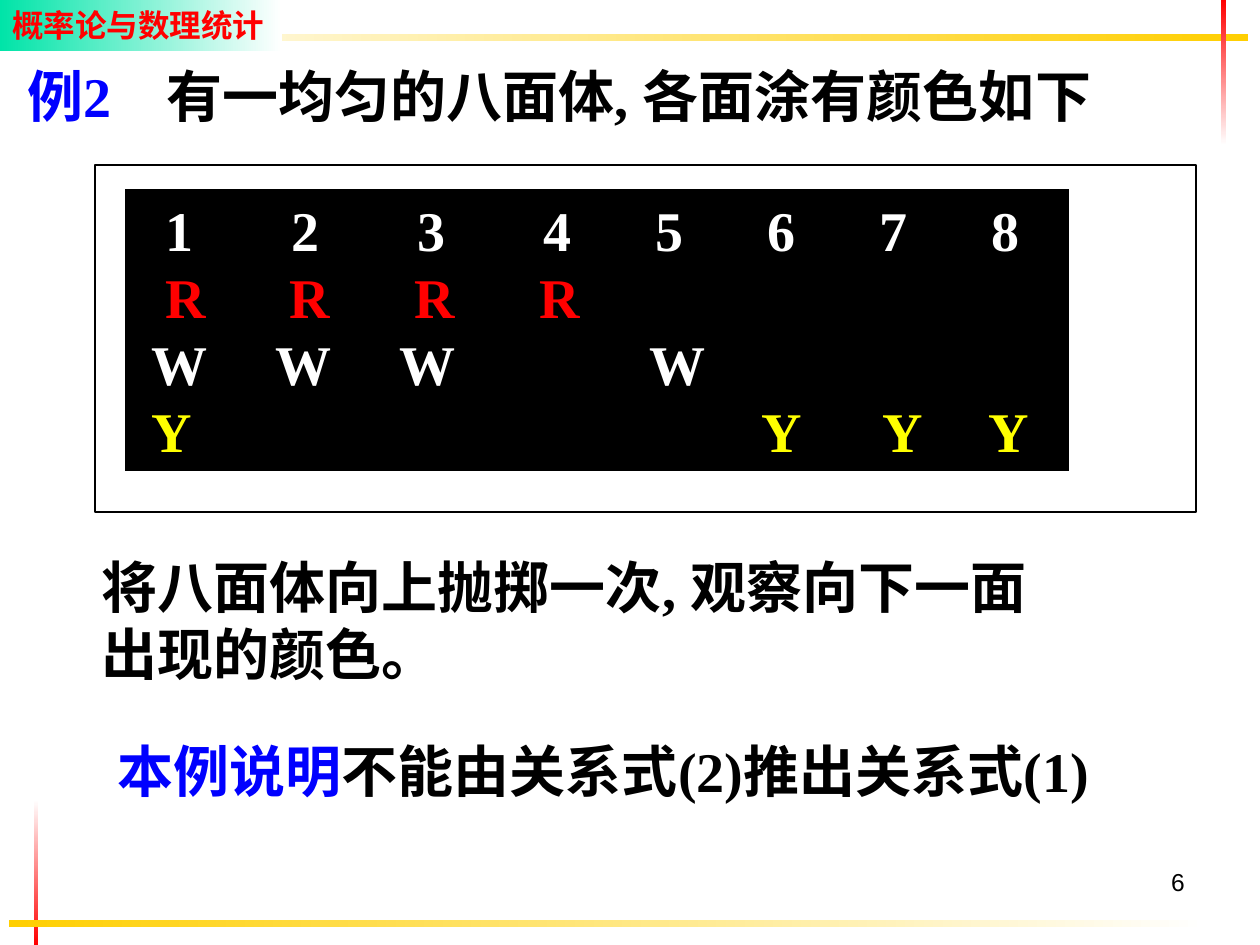
import pptx
import pptx.util
import pptx.dml.color
import pptx.enum.shapes
import pptx.enum.text
import pptx.oxml
import pptx.oxml.ns

SCALE = 914400 // 126
WIDTH, HEIGHT = 1260, 945
COLORS = {"red": "FF0000", "gold": "FFCF01", "white": "FFFFFF", "green": "00E4A8",
          "blue": "0000FF", "black": "000000", "yellow": "FFFF00"}
ALIGN = pptx.enum.text.PP_ALIGN

ACROSS, DOWN = 0, 270
GRADIENT_BARS = [
    ((34, 800, 4, 145), "white", "red", DOWN),
    ((9, 920, 1198, 7), "gold", "white", ACROSS),
    ((50, 34, 1198, 7), "white", "gold", ACROSS),
    ((1221, 0, 5, 145), "red", "white", DOWN),
    ((0, 0, 282, 51), "green", "white", ACROSS),
]
HEADER = [[("概率论与数理统计", "red")]]
TITLE = [[("例2", "blue"), ("\t有一均匀的八面体, 各面涂有颜色如下", "black")]]
TITLE_TABS = [[139]]
EXPERIMENT = [[("将八面体向上抛掷一次, 观察向下一面", "black")], [("出现的颜色。", "black")]]
CONCLUSION = [[("本例说明", "blue"), ("不能由关系式(2)推出关系式(1)", "black")]]
FACE_ROWS = [
    ("white", {"1": [28], "2": [154], "3": [280], "4": [406],
               "5": [518], "6": [630], "7": [742], "8": [854]}),
    ("red", {"R": [28, 152, 277, 402]}),
    ("white", {"W": [14, 138, 262, 512]}),
    ("yellow", {"Y": [14, 624, 745, 851]}),
]


def color(name):
    return pptx.dml.color.RGBColor.from_string(COLORS[name])


def px(*values):
    return [pptx.util.Emu(value * SCALE) for value in values]


def add_rectangle(shapes, box):
    shape = shapes.add_shape(pptx.enum.shapes.MSO_SHAPE.RECTANGLE, *px(*box))
    shape.shadow.inherit = False
    shape.line.fill.background()
    return shape


def add_gradient(shapes, box, start, end, angle):
    shape = add_rectangle(shapes, box)
    shape.fill.gradient()
    shape.fill.gradient_angle = angle
    for stop, name in zip(shape.fill.gradient_stops, (start, end)):
        stop.color.rgb = color(name)
    return shape


def add_tabs(paragraph, positions):
    properties = paragraph._p.get_or_add_pPr()
    tab_list = pptx.oxml.parse_xml(f"<a:tabLst {pptx.oxml.ns.nsdecls('a')}/>")
    for position in positions:
        tab = pptx.oxml.parse_xml(f"<a:tab {pptx.oxml.ns.nsdecls('a')}/>")
        tab.set("pos", str(position * SCALE))
        tab.set("algn", "l")
        tab_list.append(tab)
    properties.append(tab_list)


def write_text(shape, lines, size=32, font="Times New Roman", bold=True,
               align=ALIGN.LEFT, wrap=False, tabs=()):
    frame = shape.text_frame
    frame.word_wrap = wrap
    frame.vertical_anchor = pptx.enum.text.MSO_ANCHOR.TOP
    for index, line in enumerate(lines):
        paragraph = frame.paragraphs[0] if index == 0 else frame.add_paragraph()
        paragraph.alignment = align
        if tabs:
            add_tabs(paragraph, tabs[index])
        for text, name in line:
            run = paragraph.add_run()
            run.text = text
            run.font.size = pptx.util.Pt(size)
            run.font.name = font
            run.font.bold = bold
            run.font.color.rgb = color(name)


def add_text(shapes, box, lines, **text_format):
    write_text(shapes.add_textbox(*px(*box)), lines, **text_format)


def add_face_panel(shapes):
    group = shapes.add_group_shape().shapes
    panel = add_rectangle(group, (125, 189, 944, 282))
    panel.fill.solid()
    panel.fill.fore_color.rgb = color("black")
    lines, tabs = [], []
    for name, marks in FACE_ROWS:
        placed = [(mark, stop) for mark, stops in marks.items() for stop in stops]
        lines.append([("".join("\t" + mark for mark, stop in placed), name)])
        tabs.append([stop for mark, stop in placed])
    write_text(panel, lines, wrap=True, tabs=tabs)
    border = add_rectangle(group, (95, 165, 1101, 347))
    border.fill.background()
    border.line.color.rgb = color("black")
    border.line.width = pptx.util.Pt(0.75)


def main():
    presentation = pptx.Presentation()
    presentation.slide_width, presentation.slide_height = px(WIDTH, HEIGHT)
    slide = presentation.slides.add_slide(presentation.slide_layouts[6])
    shapes = slide.shapes
    bars = [add_gradient(shapes, *bar) for bar in GRADIENT_BARS]
    write_text(bars[-1], HEADER, size=18, font="Lato", wrap=True)
    add_text(shapes, (903, 861, 294, 65), [[("6", "black")]], size=14, font="Arial",
             bold=False, align=ALIGN.RIGHT, wrap=True)
    add_text(shapes, (15, 55, 1124, 80), TITLE, wrap=True, tabs=TITLE_TABS)
    add_text(shapes, (89, 546, 990, 148), EXPERIMENT, wrap=True)
    add_face_panel(shapes)
    add_text(shapes, (85, 730, 1037, 80), CONCLUSION, align=ALIGN.CENTER)
    presentation.save("out.pptx")


if __name__ == "__main__":
    main()
